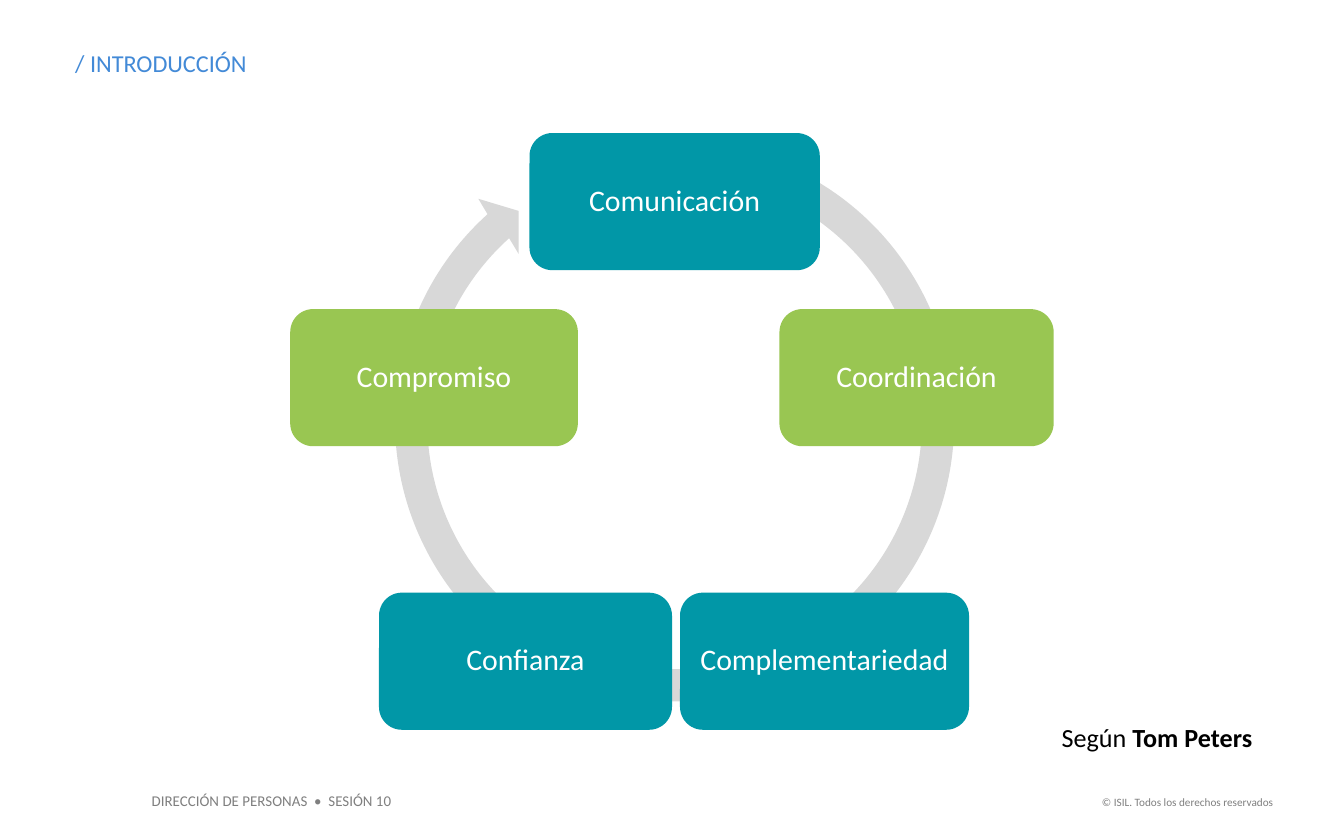
from math import cos, radians, sin, tan

from lxml.etree import SubElement
from pptx import Presentation
from pptx.dml.color import RGBColor
from pptx.enum.shapes import MSO_SHAPE
from pptx.enum.text import MSO_ANCHOR, MSO_AUTO_SIZE, PP_ALIGN
from pptx.oxml.ns import qn
from pptx.util import Inches, Pt

TEAL = RGBColor(0x01, 0x97, 0xA7)
GREEN = RGBColor(0x99, 0xC6, 0x52)
RING_GRAY = RGBColor(0xD8, 0xD8, 0xD8)
FOOTER_GRAY = RGBColor(0x7F, 0x7F, 0x7F)
TITLE_BLUE = RGBColor(0x43, 0x8A, 0xD7)
WHITE = RGBColor(0xFF, 0xFF, 0xFF)
BLACK = RGBColor(0x00, 0x00, 0x00)

BOX_HEIGHT = 1.02
TOP_ROW, MIDDLE_ROW, BOTTOM_ROW = 0.99, 2.3, 4.41
BOXES = [
    ("Comunicación", 3.94, TOP_ROW, 2.16, TEAL),
    ("Coordinación", 5.8, MIDDLE_ROW, 2.04, GREEN),
    ("Complementariedad", 5.06, BOTTOM_ROW, 2.15, TEAL),
    ("Confianza", 2.82, BOTTOM_ROW, 2.18, TEAL),
    ("Compromiso", 2.16, MIDDLE_ROW, 2.14, GREEN),
]

RING_LEFT, RING_TOP, RING_SIZE = 2.81, 0.93, 4.43
RING_CENTER = (5.02, 3.14)
OUTER_RADIUS, INNER_RADIUS = 2.08, 1.84
RING_START, RING_END = -69, 228
ARROW_HEAD = [(3.56, 1.48), (3.86, 1.57), (3.86, 1.89)]


def arc(radius, start, end, count=4):
    """First point of an arc and its Bézier curves; degrees run clockwise from the right."""
    cx, cy = RING_CENTER
    step = radians(end - start) / count
    pull = radius * 4 / 3 * tan(step / 4)

    def point(angle, along=0):
        return (cx + radius * cos(angle) - along * sin(angle),
                cy + radius * sin(angle) + along * cos(angle))

    angles = [radians(start) + step * i for i in range(count + 1)]
    curves = [[point(a, pull), point(b, -pull), point(b)]
              for a, b in zip(angles, angles[1:])]
    return point(angles[0]), curves


class SlideBuilder:
    font = "Calibri"

    def __init__(self, prs):
        self.s = prs.slides.add_slide(prs.slide_layouts[5])

    def add_run(self, p, text, size, color, bold=False):
        r = p.add_run()
        r.text = text
        r.font.name = self.font
        r.font.size = Pt(size)
        r.font.bold = bold
        r.font.color.rgb = color

    def set_margins(self, tf, margin):
        tf.margin_left = tf.margin_right = Inches(margin)
        tf.margin_top = tf.margin_bottom = Inches(margin)

    def paint(self, sp, color):
        sp.shadow.inherit = False
        sp.fill.solid()
        sp.fill.fore_color.rgb = color
        sp.line.fill.background()

    def title(self, text, left, top, width, height):
        sp = self.s.shapes.title
        sp.left, sp.top = Inches(left), Inches(top)
        sp.width, sp.height = Inches(width), Inches(height)
        tf = sp.text_frame
        tf.auto_size = MSO_AUTO_SIZE.NONE
        tf.vertical_anchor = MSO_ANCHOR.TOP
        self.set_margins(tf, 0)
        p = tf.paragraphs[0]
        p.alignment = PP_ALIGN.LEFT
        self.add_run(p, text, 13, TITLE_BLUE)

    def text(self, runs, left, top, width, height, size, color, align=PP_ALIGN.LEFT):
        """Add a text box; runs are (text, bold) pairs."""
        sp = self.s.shapes.add_textbox(
            Inches(left), Inches(top), Inches(width), Inches(height))
        tf = sp.text_frame
        tf.word_wrap = True
        p = tf.paragraphs[0]
        p.alignment = align
        for text, bold in runs:
            self.add_run(p, text, size, color, bold)

    def box(self, text, left, top, width, color):
        sp = self.s.shapes.add_shape(
            MSO_SHAPE.ROUNDED_RECTANGLE,
            Inches(left), Inches(top), Inches(width), Inches(BOX_HEIGHT))
        self.paint(sp, color)
        tf = sp.text_frame
        tf.word_wrap = True
        tf.vertical_anchor = MSO_ANCHOR.MIDDLE
        self.set_margins(tf, 0.07)
        p = tf.paragraphs[0]
        p.alignment = PP_ALIGN.CENTER
        p.line_spacing = 0.9
        self.add_run(p, text, 16, WHITE)

    def ring_arrow(self):
        """Add a freeform with the ring's frame, then give it a curved outline."""
        left, top, size = Inches(RING_LEFT), Inches(RING_TOP), Inches(RING_SIZE)
        builder = self.s.shapes.build_freeform(left, top)
        builder.add_line_segments(
            [(left + size, top), (left + size, top + size), (left, top + size)])
        sp = builder.convert_to_shape()
        self.paint(sp, RING_GRAY)

        outline = next(sp._element.iter(qn("a:path")))
        for step in list(outline):
            outline.remove(step)

        def draw(command, points=()):
            step = SubElement(outline, qn(f"a:{command}"))
            for x, y in points:
                SubElement(step, qn("a:pt"), x=str(Inches(x) - left), y=str(Inches(y) - top))

        outer_start, outer_curves = arc(OUTER_RADIUS, RING_START, RING_END)
        inner_start, inner_curves = arc(INNER_RADIUS, RING_END, RING_START)
        draw("moveTo", [outer_start])
        for curve in outer_curves:
            draw("cubicBezTo", curve)
        for corner in ARROW_HEAD + [inner_start]:
            draw("lnTo", [corner])
        for curve in inner_curves:
            draw("cubicBezTo", curve)
        draw("close")


def main():
    prs = Presentation()
    prs.slide_width, prs.slide_height = Inches(10), Inches(6.25)
    slide = SlideBuilder(prs)

    slide.title("/ INTRODUCCIÓN", 0.56, 0.36, 2.13, 0.22)
    slide.ring_arrow()
    for box in BOXES:
        slide.box(*box)
    slide.text([("Según ", False), ("Tom Peters", True)],
               7.8, 5.32, 1.65, 0.34, 14, BLACK)
    slide.text([("DIRECCIÓN DE PERSONAS  •  SESIÓN 10", False)],
               1.03, 5.84, 2.04, 0.24, 8, FOOTER_GRAY)
    slide.text([("© ISIL. Todos los derechos reservados", False)],
               8.05, 5.87, 1.52, 0.2, 6, FOOTER_GRAY, PP_ALIGN.RIGHT)

    prs.save("out.pptx")


if __name__ == "__main__":
    main()
